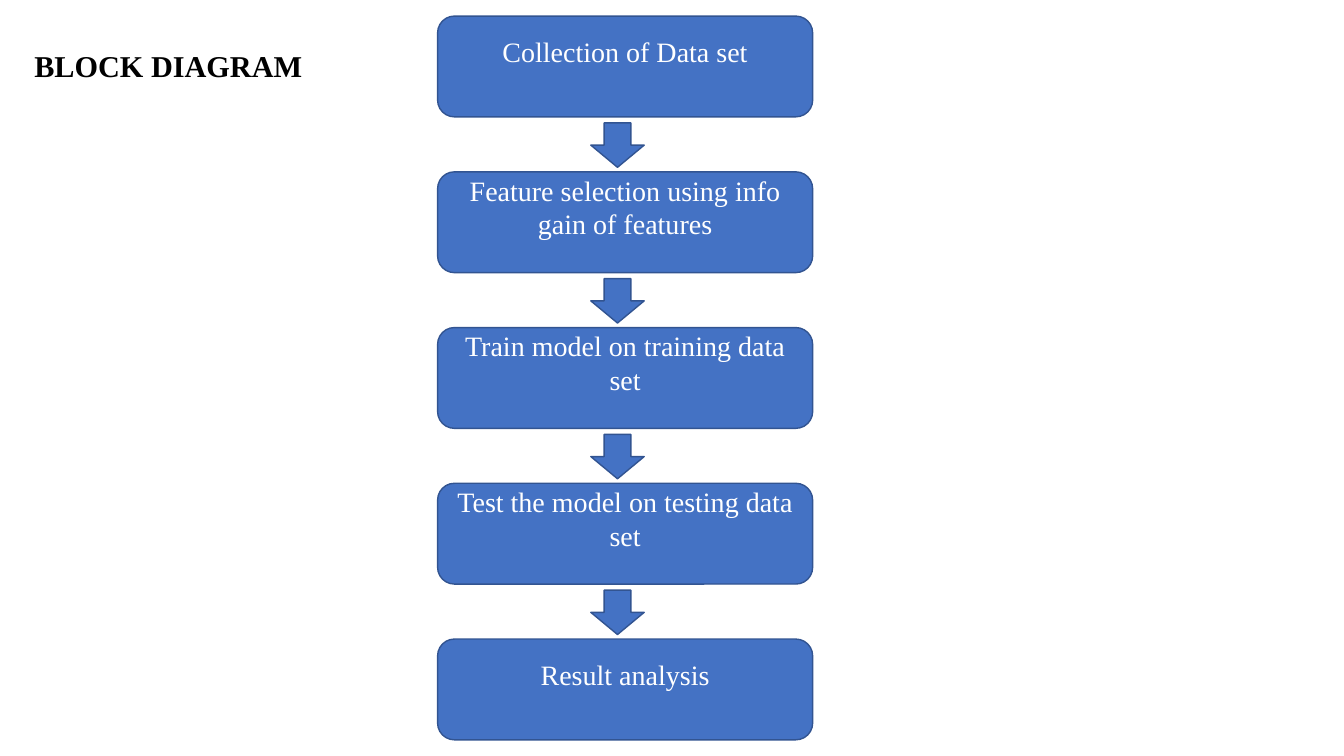
from pptx import Presentation
from pptx.dml.color import RGBColor
from pptx.enum.shapes import MSO_SHAPE as SHAPE
from pptx.enum.text import MSO_ANCHOR as ANCHOR, MSO_AUTO_SIZE as AUTO, PP_ALIGN as ALIGN
from pptx.util import Inches, Pt

TITLE = "BLOCK\u00a0DIAGRAM"
STEPS = [
    "Collection of Data set",
    "Feature selection using info gain of features",
    "Train model on training data set",
    "Test the model on testing data set",
    "Result analysis",
]
COLORS = {"fill": "4472C4", "line": "325491", "step": "FFFFFF", "title": "000000"}
FONT = "Times New Roman"

BOX_LEFT, BOX_TOP, BOX_W, BOX_H = 4.34, 0.16, 3.72, 1
PITCH = 1.545
ARROW_LEFT, ARROW_W, ARROW_H = 5.86, 0.53, 0.44
ARROW_GAP = 0.06


def rgb(name):
    """Return the named colour."""
    return RGBColor.from_string(COLORS[name])


def set_attrs(obj, **values):
    """Set several attributes on an object."""
    for name, value in values.items():
        setattr(obj, name, value)


def place(sp, left, top, width, height):
    """Move and size a shape, in inches."""
    set_attrs(sp, left=Inches(left), top=Inches(top),
              width=Inches(width), height=Inches(height))


def write(tf, text, size, color, bold=False):
    """Write one centred paragraph."""
    p = tf.paragraphs[0]
    p.alignment = ALIGN.CENTER
    r = p.add_run()
    r.text = text
    set_attrs(r.font, name=FONT, size=Pt(size), bold=bold)
    r.font.color.rgb = rgb(color)
    return p


def add_block(s, kind, left, top, width, height):
    """Add a flat blue shape with a darker outline."""
    sp = s.shapes.add_shape(kind, *map(Inches, (left, top, width, height)))
    sp.shadow.inherit = False
    sp.fill.solid()
    sp.fill.fore_color.rgb = rgb("fill")
    sp.line.color.rgb = rgb("line")
    sp.line.width = Pt(1)
    return sp


def add_step(s, text, top):
    """Add a rounded step whose text sits above the middle."""
    sp = add_block(s, SHAPE.ROUNDED_RECTANGLE, BOX_LEFT, top, BOX_W, BOX_H)
    set_attrs(sp.text_frame, word_wrap=True, vertical_anchor=ANCHOR.MIDDLE,
              margin_top=0, margin_bottom=Inches(0.31))
    write(sp.text_frame, text, 20, "step")


def add_title(s):
    """Fill and place the title placeholder."""
    sp = s.shapes.title
    place(sp, 0.18, 0.15, 2.98, 0.73)
    set_attrs(sp.text_frame, word_wrap=True, vertical_anchor=ANCHOR.BOTTOM,
              auto_size=AUTO.NONE)
    p = write(sp.text_frame, TITLE, 21.6, "title", bold=True)
    p.line_spacing = 0.9


prs = Presentation()
set_attrs(prs, slide_width=Inches(13.33), slide_height=Inches(7.5))
s = prs.slides.add_slide(prs.slide_layouts[5])
add_title(s)
for i, step in enumerate(STEPS):
    top = BOX_TOP + i * PITCH
    add_step(s, step, top)
    if i < len(STEPS) - 1:
        add_block(s, SHAPE.DOWN_ARROW, ARROW_LEFT, top + BOX_H + ARROW_GAP,
                  ARROW_W, ARROW_H)
prs.save("out.pptx")
